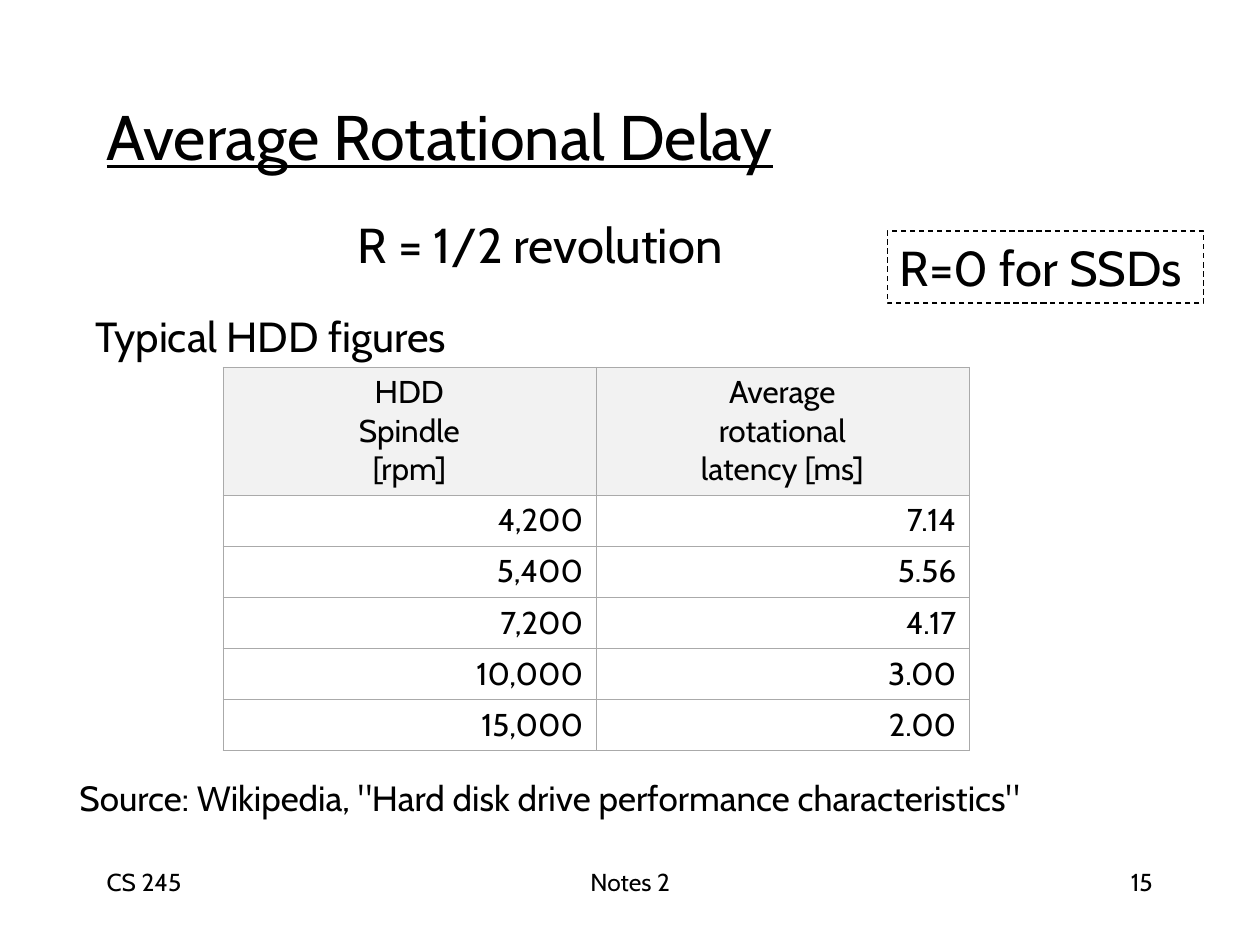
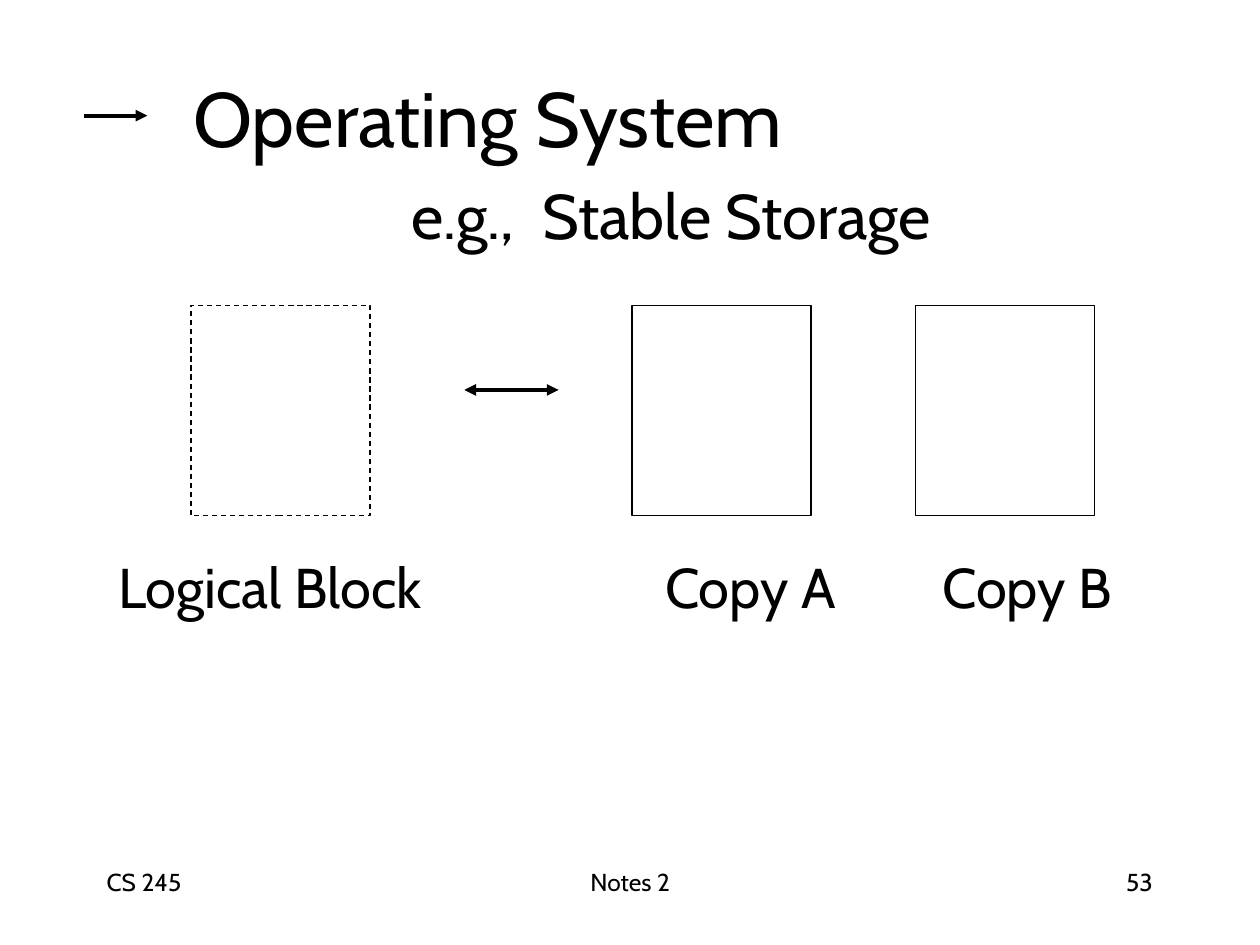
from pptx import Presentation
from pptx.dml.color import RGBColor
from pptx.enum.dml import MSO_LINE as Dash
from pptx.enum.shapes import MSO_CONNECTOR as Conn, MSO_SHAPE as Kind
from pptx.enum.text import MSO_ANCHOR as Anchor, MSO_AUTO_SIZE as Auto, PP_ALIGN as Align
from pptx.oxml.ns import qn
from pptx.util import Cm, Pt
from lxml.etree import SubElement as Sub

# Shared style
FONT = "Cabin"
BLACK, WHITE, GREY, RULE = "000000", "FFFFFF", "F2F2F2", "AAAAAA"
LEFT, MID, RIGHT = Align.LEFT, Align.CENTER, Align.RIGHT
FOOT = dict(top=17.35, high=1.27, size=14)

# Content: boxes are (left, top, width, height) in cm
DELAY = {
    "title": "Average Rotational Delay",
    "page": "15",
    "notes": [
        ("R = 1/2 revolution", (6.96, 4.19, 8.69, 1.45), 28, Anchor.TOP),
        ("Typical HDD figures", (1.68, 6.13, 8.33, 1.27), 24, Anchor.MIDDLE),
        ('Source: Wikipedia, "Hard disk drive performance characteristics"',
         (1.35, 15.52, 21.84, 1.12), 20, Anchor.TOP),
    ],
    "aside": ("R=0 for SSDs", (17.89, 4.66, 6.38, 1.45), 28),
    "head": [("HDD", "Spindle", "[rpm]"),
             ("Average", "rotational", "latency [ms]")],
    "rows": [("4,200", "7.14"), ("5,400", "5.56"), ("7,200", "4.17"),
             ("10,000", "3.00"), ("15,000", "2.00")],
}
STORE = {
    "title": [("Operating System", 44, 1.74), ("e.g.,  Stable Storage", 36, 6.14)],
    "page": "53",
    # name, left of name, width of name, left of block, dashed
    "blocks": [("Logical Block", 2.13, 8, 3.85, True),
               ("Copy A", 13.16, 4.5, 12.74, False),
               ("Copy B", 18.75, 4.5, 18.46, False)],
    # left, right, height on slide, heads at both ends
    "arrows": [(1.7, 2.97, 2.33, False), (9.36, 11.26, 7.86, True)],
}


def tint(code):
    return RGBColor.from_string(code)


def cms(box):
    return [Cm(n) for n in box]


def write(para, text, size, under=None):
    run = para.add_run()
    run.text = text
    font = run.font
    font.name, font.size, font.underline = FONT, Pt(size), under
    font.color.rgb = tint(BLACK)


def frame(shape, anchor=Anchor.TOP):
    """Prepare a text frame and return its first paragraph."""
    text = shape.text_frame
    text.word_wrap, text.auto_size = True, Auto.NONE
    text.vertical_anchor = anchor
    return text.paragraphs[0]


def label(slide, text, box, size, align=LEFT, anchor=Anchor.TOP):
    para = frame(slide.shapes.add_textbox(*cms(box)), anchor)
    para.alignment = align
    write(para, text, size)


def place(shape, box, anchor):
    shape.left, shape.top, shape.width, shape.height = cms(box)
    para = frame(shape, anchor)
    para.alignment = LEFT
    return para


def block(slide, box, dash, fill=None):
    rect = slide.shapes.add_shape(Kind.RECTANGLE, *cms(box))
    rect.shadow.inherit = False
    if fill:
        rect.fill.solid()
        rect.fill.fore_color.rgb = tint(fill)
    else:
        rect.fill.background()
    rect.line.color.rgb = tint(BLACK)
    rect.line.width = Pt(0.75)
    if dash:
        rect.line.dash_style = Dash.DASH
    return rect


def arrow(slide, left, right, top, both):
    line = slide.shapes.add_connector(Conn.STRAIGHT, *cms((left, top, right, top)))
    line.line.color.rgb = tint(BLACK)
    line.line.width = Pt(2.25)
    props = line._element.spPr
    edge = props.find(qn("a:ln"))
    for end in (["headEnd"] if both else []) + ["tailEnd"]:
        Sub(edge, qn("a:" + end), type="triangle")
    Sub(props, qn("a:effectLst"))


def border(cell):
    props = cell._tc.get_or_add_tcPr()
    for n, side in enumerate(("lnL", "lnR", "lnT", "lnB")):
        edge = props.makeelement(qn("a:" + side), {"w": str(Pt(0.28))})
        Sub(Sub(edge, qn("a:solidFill")), qn("a:srgbClr"), val=RULE)
        props.insert(n, edge)


def grid(slide, head, rows):
    high = [2.54] + [1.01] * len(rows)
    shape = slide.shapes.add_table(len(high), len(head),
                                   *cms((4.49, 7.4, 15.04, sum(high))))
    table = shape.table
    table.horz_banding = False
    for row, size in zip(table.rows, high):
        row.height = Cm(size)
    body = [[(text,) for text in row] for row in rows]
    for r, row in enumerate([head] + body):
        for c, lines in enumerate(row):
            cell = table.cell(r, c)
            cell.vertical_anchor = Anchor.MIDDLE
            cell.fill.solid()
            cell.fill.fore_color.rgb = tint(WHITE if r else GREY)
            border(cell)
            para = cell.text_frame.paragraphs[0]
            para.alignment = RIGHT if r else MID
            for n, text in enumerate(lines):
                if n:
                    para.add_line_break()
                write(para, text, 18)


def start(deck, kind, page):
    """Add a slide with the common footer."""
    slide = deck.slides.add_slide(deck.slide_layouts[kind])
    for text, left, wide, align in (("CS 245", 1.9, 5.28, LEFT),
                                    ("Notes 2", 8.68, 8.05, MID),
                                    (page, 18.21, 5.28, RIGHT)):
        label(slide, text, (left, FOOT["top"], wide, FOOT["high"]),
              FOOT["size"], align)
    return slide


def delay(deck):
    slide = start(deck, 5, DELAY["page"])
    para = place(slide.shapes.title, (1.9, 1.47, 21.59, 2.51), Anchor.MIDDLE)
    write(para, DELAY["title"], 36, True)
    grid(slide, DELAY["head"], DELAY["rows"])
    for text, box, size, anchor in DELAY["notes"]:
        label(slide, text, box, size, anchor=anchor)
    # Dashed side remark
    text, box, size = DELAY["aside"]
    para = frame(block(slide, box, True))
    para.alignment = LEFT
    write(para, text, size)


def store(deck):
    slide = start(deck, 1, STORE["page"])
    # Title lines, each with its own indent
    para = place(slide.shapes.title, (1.9, 1.66, 21.59, 3.18), Anchor.MIDDLE)
    for n, (text, size, left) in enumerate(STORE["title"]):
        if n:
            para = slide.shapes.title.text_frame.add_paragraph()
            para.alignment = LEFT
            para.space_before = Pt(7.5)
        para._p.get_or_add_pPr().set("marL", str(Cm(left)))
        write(para, text, size)
    # Arrows
    for item in STORE["arrows"]:
        arrow(slide, *item)
    # Blocks and their names, the first name in the body placeholder
    for n, (name, left, wide, edge, dash) in enumerate(STORE["blocks"]):
        block(slide, (edge, 6.16, 3.61, 4.24), dash, WHITE)
        box = (left, 11.02, wide, 1.68)
        if n:
            label(slide, name, box, 32)
            continue
        para = place(slide.placeholders[1], box, Anchor.TOP)
        props = para._p.get_or_add_pPr()
        props.set("marL", "0")
        props.set("indent", "0")
        Sub(props, qn("a:buNone"))
        para.space_before = Pt(0)
        write(para, name, 32)


def main():
    deck = Presentation()
    deck.slide_width, deck.slide_height = Cm(25.4), Cm(19.05)
    delay(deck)
    store(deck)
    deck.save("out.pptx")


if __name__ == "__main__":
    main()
